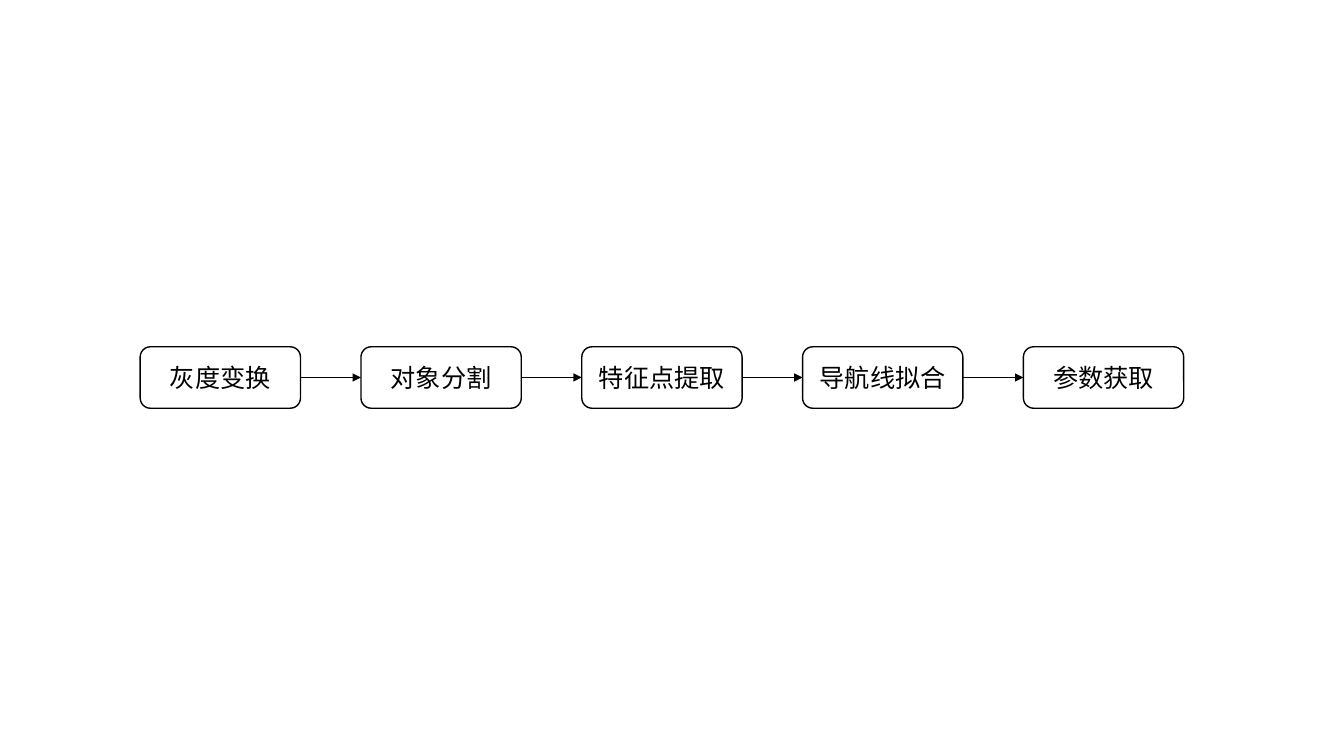
from lxml.etree import SubElement
from pptx import Presentation
from pptx.dml.color import RGBColor
from pptx.enum.shapes import MSO_CONNECTOR, MSO_SHAPE
from pptx.enum.text import MSO_ANCHOR, PP_ALIGN
from pptx.oxml.ns import qn
from pptx.util import Inches, Pt

STEPS = ["灰度变换", "对象分割", "特征点提取", "导航线拟合", "参数获取"]

FONT = "Noto Sans CJK SC"
BLACK = RGBColor(0, 0, 0)
LEFT, TOP = Inches(1.39), Inches(3.44)
STEP_WIDTH, STEP_HEIGHT = Inches(1.59), Inches(0.61)
GAP = Inches(0.6)


def style_line(line):
    """Give an outline or arrow the common black stroke."""
    line.color.rgb = BLACK
    line.width = Pt(1)


def add_step(slide, label, left):
    """Add one rounded process step and return it."""
    step = slide.shapes.add_shape(
        MSO_SHAPE.ROUNDED_RECTANGLE, left, TOP, STEP_WIDTH, STEP_HEIGHT)
    step.shadow.inherit = False
    step.fill.background()
    style_line(step.line)
    frame = step.text_frame
    frame.word_wrap = True
    frame.vertical_anchor = MSO_ANCHOR.MIDDLE
    paragraph = frame.paragraphs[0]
    paragraph.alignment = PP_ALIGN.CENTER
    run = paragraph.add_run()
    run.text = label
    run.font.size = Pt(18)
    run.font.color.rgb = BLACK
    run.font.name = FONT
    SubElement(run.font._element, qn("a:ea"), typeface=FONT)
    return step


def add_arrow(slide, source, target):
    """Connect the right side of one step to the left side of the next."""
    arrow = slide.shapes.add_connector(MSO_CONNECTOR.STRAIGHT, 0, 0, 0, 0)
    arrow.begin_connect(source, 3)
    arrow.end_connect(target, 1)
    style_line(arrow.line)
    SubElement(arrow.line._get_or_add_ln(), qn("a:tailEnd"), type="triangle")
    SubElement(arrow._element.spPr, qn("a:effectLst"))


presentation = Presentation()
presentation.slide_width = Inches(13.33)
presentation.slide_height = Inches(7.5)
flow_slide = presentation.slides.add_slide(presentation.slide_layouts[6])

steps = [add_step(flow_slide, label, LEFT + i * (STEP_WIDTH + GAP))
         for i, label in enumerate(STEPS)]
for source, target in zip(steps, steps[1:]):
    add_arrow(flow_slide, source, target)

presentation.save("out.pptx")
